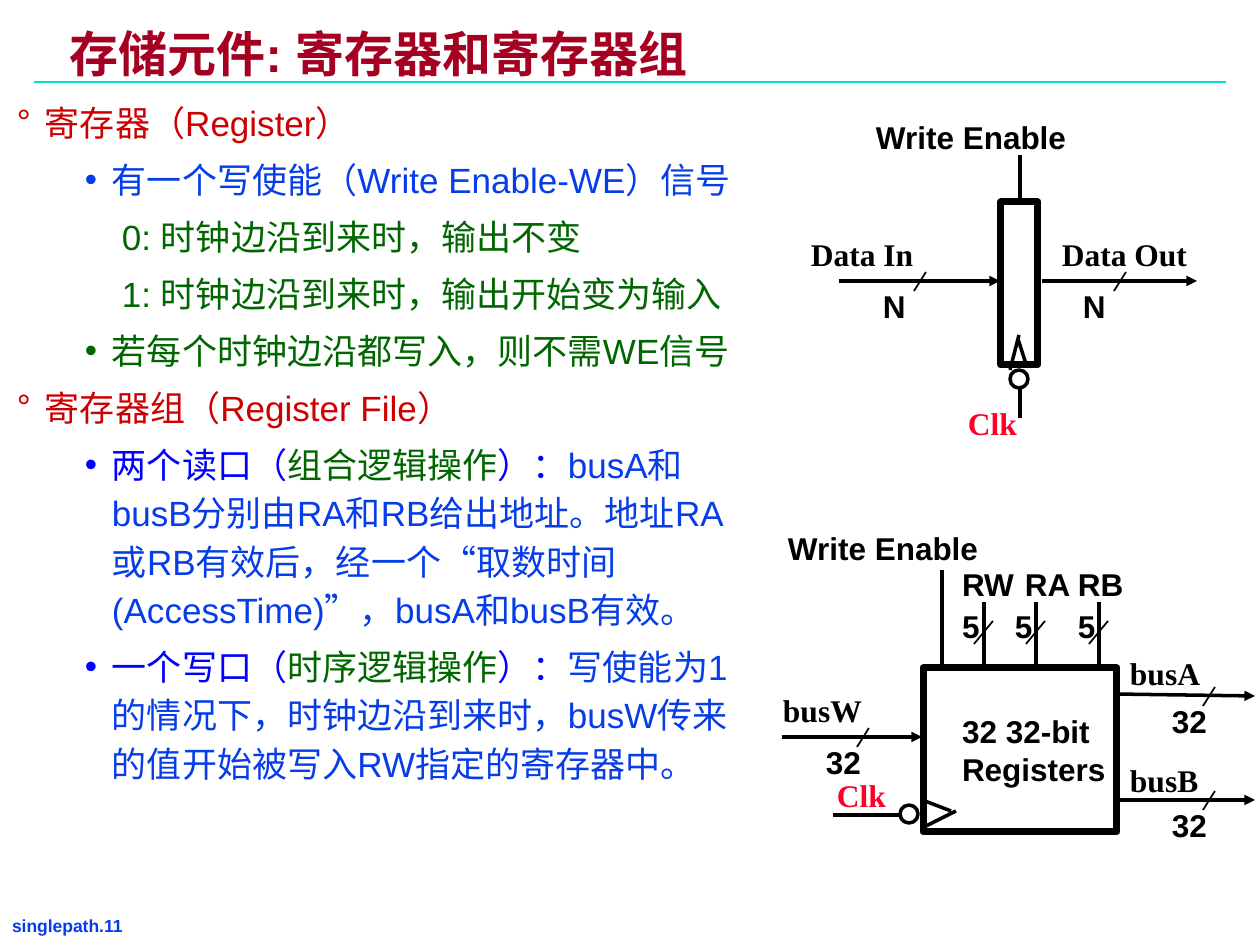
"""Build the slide on registers and register files."""
from dataclasses import dataclass
from typing import Any

from lxml.etree import SubElement
from pptx import Presentation
from pptx.dml.color import RGBColor
from pptx.enum.shapes import MSO_CONNECTOR, MSO_SHAPE
from pptx.enum.text import MSO_ANCHOR, MSO_AUTO_SIZE
from pptx.oxml.ns import qn
from pptx.util import Emu, Pt

PX = 914400 / 126
BLACK, RED, BLUE, PURE_BLUE, GREEN, CLOCK = "000000", "CC0000", "063DE8", "0000FF", "006600", "FC0128"
SANS, SERIF = "Arial", "Times New Roman"


@dataclass
class Item:
    """A body paragraph made of (text, colour) runs."""
    runs: list[tuple[str, str]]
    bullet: str = "•"
    margin: int = 95
    indent: int = -27


@dataclass
class Label:
    """Bold diagram text."""
    text: str
    left: int
    top: int
    width: int
    font: str = SANS
    color: str = BLACK
    height: int = 50


@dataclass
class Bus:
    """A named data arrow with a slash that marks its bit width."""
    name: Label
    start: tuple[int, int]
    end: tuple[int, int]
    slash: int
    bits: str


@dataclass
class Port:
    """A five-bit register address input."""
    name: Label
    center: int
    digit_left: int


@dataclass
class Part:
    """An unfilled outline in a diagram."""
    kind: MSO_SHAPE
    box: tuple[int, int, int, int]
    weight: float


ITEMS = [
    Item([("寄存器（Register）", RED)], "°", 28, -28),
    Item([("有一个写使能（Write Enable-WE）信号", BLUE)]),
    Item([("0: 时钟边沿到来时，输出不变", GREEN)], "", 105, 0),
    Item([("1: 时钟边沿到来时，输出开始变为输入", GREEN)], "", 105, 0),
    Item([("若每个时钟边沿都写入，则不需WE信号", GREEN)]),
    Item([("寄存器组（Register File）", RED)], "°", 28, -28),
    Item([("两个读口（", PURE_BLUE), ("组合逻辑操作", GREEN), ("）：", PURE_BLUE),
          ("busA和busB分别由RA和RB给出地址。地址RA或RB有效后，经一个“取数时间(AccessTime)”，busA和busB有效。", BLUE)]),
    Item([("一个写口（", PURE_BLUE), ("时序逻辑操作", GREEN), ("）：", PURE_BLUE),
          ("写使能为1的情况下，时钟边沿到来时，busW传来的值开始被写入RW指定的寄存器中。", BLUE)]),
]
PARTS = [
    Part(MSO_SHAPE.RECTANGLE, (1001, 202, 37, 163), 4),
    Part(MSO_SHAPE.OVAL, (1010, 370, 18, 18), 2),
    Part(MSO_SHAPE.RECTANGLE, (923, 668, 194, 164), 4),
    Part(MSO_SHAPE.OVAL, (900, 805, 18, 18), 2),
]
WIRES = [
    ((1010, 370), (1019, 335)), ((1018, 339), (1027, 367)),
    ((1020, 199), (1020, 155)), ((1020, 386), (1020, 418)),
    ((925, 801), (951, 811)), ((956, 811), (922, 828)),
    ((942, 665), (942, 570)), ((900, 815), (833, 815)),
]
LABELS = [
    Label("Write Enable", 864, 112, 230),
    Label("Clk", 956, 398, 90, SERIF, CLOCK),
    Label("Write Enable", 776, 523, 230),
    Label("Clk", 825, 770, 90, SERIF, CLOCK),
    Label("32 32-bit\nRegisters", 950, 706, 185, height=88),
]
BUSES = [
    Bus(Label("Data In", 799, 229, 154, SERIF), (839, 281), (1000, 281), 920, "N"),
    Bus(Label("Data Out", 1050, 229, 200, SERIF), (1042, 281), (1197, 281), 1120, "N"),
    Bus(Label("busW", 771, 685, 120, SERIF), (782, 737), (922, 737), 863, "32"),
    Bus(Label("busA", 1118, 648, 110, SERIF), (1114, 694), (1255, 696), 1209, "32"),
    Bus(Label("busB", 1118, 755, 110, SERIF), (1116, 800), (1255, 800), 1209, "32"),
]
PORTS = [
    Port(Label("RW", 950, 559, 95), 984, 950),
    Port(Label("RA", 1013, 559, 90), 1036, 1003),
    Port(Label("RB", 1066, 559, 90), 1099, 1066),
]


def px(length: float) -> Emu:
    """Turn pixels into EMU."""
    return Emu(round(length * PX))


def color(code: str) -> RGBColor:
    """Turn a hex string into a colour."""
    return RGBColor.from_string(code)


def apply(target: Any, values: dict[str, Any]) -> None:
    """Set each named attribute of the target."""
    for name, value in values.items():
        setattr(target, name, value)


def style(font: Any, name: str, size: float, code: str, bold: bool = False) -> None:
    """Format a font."""
    apply(font, {"name": name, "size": Pt(size), "bold": bold})
    font.color.rgb = color(code)


def add_frame(slide: Any, box: tuple[int, int, int, int], inset: tuple[int, int]) -> Any:
    """Add a text box and return its text frame."""
    frame = slide.shapes.add_textbox(*map(px, box)).text_frame
    across, down = map(px, inset)
    apply(frame, {"margin_left": across, "margin_right": across, "margin_top": down, "margin_bottom": down,
                  "word_wrap": True, "auto_size": MSO_AUTO_SIZE.NONE, "vertical_anchor": MSO_ANCHOR.TOP})
    return frame


def add_label(slide: Any, label: Label) -> None:
    """Add one bold diagram label."""
    frame = add_frame(slide, (label.left, label.top, label.width, label.height), (12, 6))
    frame.text = label.text
    for paragraph in frame.paragraphs:
        style(paragraph.font, label.font, 18, label.color, True)


def add_line(slide: Any, start: tuple[int, int], end: tuple[int, int], weight: float = 2,
             code: str = BLACK, arrow: bool = False) -> None:
    """Add a straight line with an optional arrowhead at its end."""
    connector = slide.shapes.add_connector(MSO_CONNECTOR.STRAIGHT, *map(px, start + end))
    connector.line.width = Pt(weight)
    connector.line.color.rgb = color(code)
    properties = connector.line._get_or_add_ln()
    if arrow:
        SubElement(properties, qn("a:tailEnd"), type="triangle")
    SubElement(properties.getparent(), qn("a:effectLst"))


def add_part(slide: Any, part: Part) -> None:
    """Add one outlined diagram part."""
    shape = slide.shapes.add_shape(part.kind, *map(px, part.box))
    shape.shadow.inherit = False
    shape.fill.background()
    shape.line.width = Pt(part.weight)
    shape.line.color.rgb = color(BLACK)


def add_bus(slide: Any, bus: Bus) -> None:
    """Add a bus arrow, its slash, name and bit width."""
    level = bus.end[1]
    add_line(slide, bus.start, bus.end, arrow=True)
    add_line(slide, (bus.slash + 6, level - 9), (bus.slash - 6, level + 10), 1)
    add_label(slide, bus.name)
    add_label(slide, Label(bus.bits, bus.slash - 49, level, 75))


def add_port(slide: Any, port: Port) -> None:
    """Add an address input, its slash, name and bit width."""
    add_line(slide, (port.center, 602), (port.center, 667))
    add_line(slide, (port.center - 10, 644), (port.center + 9, 621), 1)
    add_label(slide, port.name)
    add_label(slide, Label("5", port.digit_left, 601, 55))


def add_body(slide: Any) -> None:
    """Add the bulleted explanation."""
    frame = add_frame(slide, (9, 91, 752, 803), (8, 4))
    for index, item in enumerate(ITEMS):
        paragraph = frame.paragraphs[0] if index == 0 else frame.add_paragraph()
        apply(paragraph, {"line_spacing": 1.15, "space_before": Pt(5 if index else 0)})
        properties = paragraph._p.get_or_add_pPr()
        properties.set("marL", str(px(item.margin)))
        properties.set("indent", str(px(item.indent)))
        if item.bullet:
            SubElement(SubElement(properties, qn("a:buClr")), qn("a:srgbClr"), val=item.runs[0][1])
            SubElement(properties, qn("a:buFont"), typeface=SANS)
            SubElement(properties, qn("a:buChar"), char=item.bullet)
        for text, code in item.runs:
            run = paragraph.add_run()
            run.text = text
            style(run.font, SANS, 20, code)


def main() -> None:
    """Build and save the presentation."""
    presentation = Presentation()
    apply(presentation, {"slide_width": px(1260), "slide_height": px(945)})
    slide = presentation.slides.add_slide(presentation.slide_layouts[6])
    footer = add_frame(slide, (4, 911, 194, 28), (8, 4)).paragraphs[0]
    footer.text = "singlepath.11"
    style(footer.font, SANS, 10, BLUE, True)
    add_line(slide, (34, 82), (1226, 82), 1.5, "00DFCA")
    title = add_frame(slide, (62, 28, 963, 58), (8, 4)).paragraphs[0]
    apply(title, {"text": "存储元件: 寄存器和寄存器组", "line_spacing": 0.87})
    style(title.font, SANS, 28, "A50021", True)
    add_body(slide)
    for draw, entries in ((add_part, PARTS), (add_label, LABELS), (add_bus, BUSES), (add_port, PORTS)):
        for entry in entries:
            draw(slide, entry)
    for start, end in WIRES:
        add_line(slide, start, end)
    presentation.save("out.pptx")


if __name__ == "__main__":
    main()
